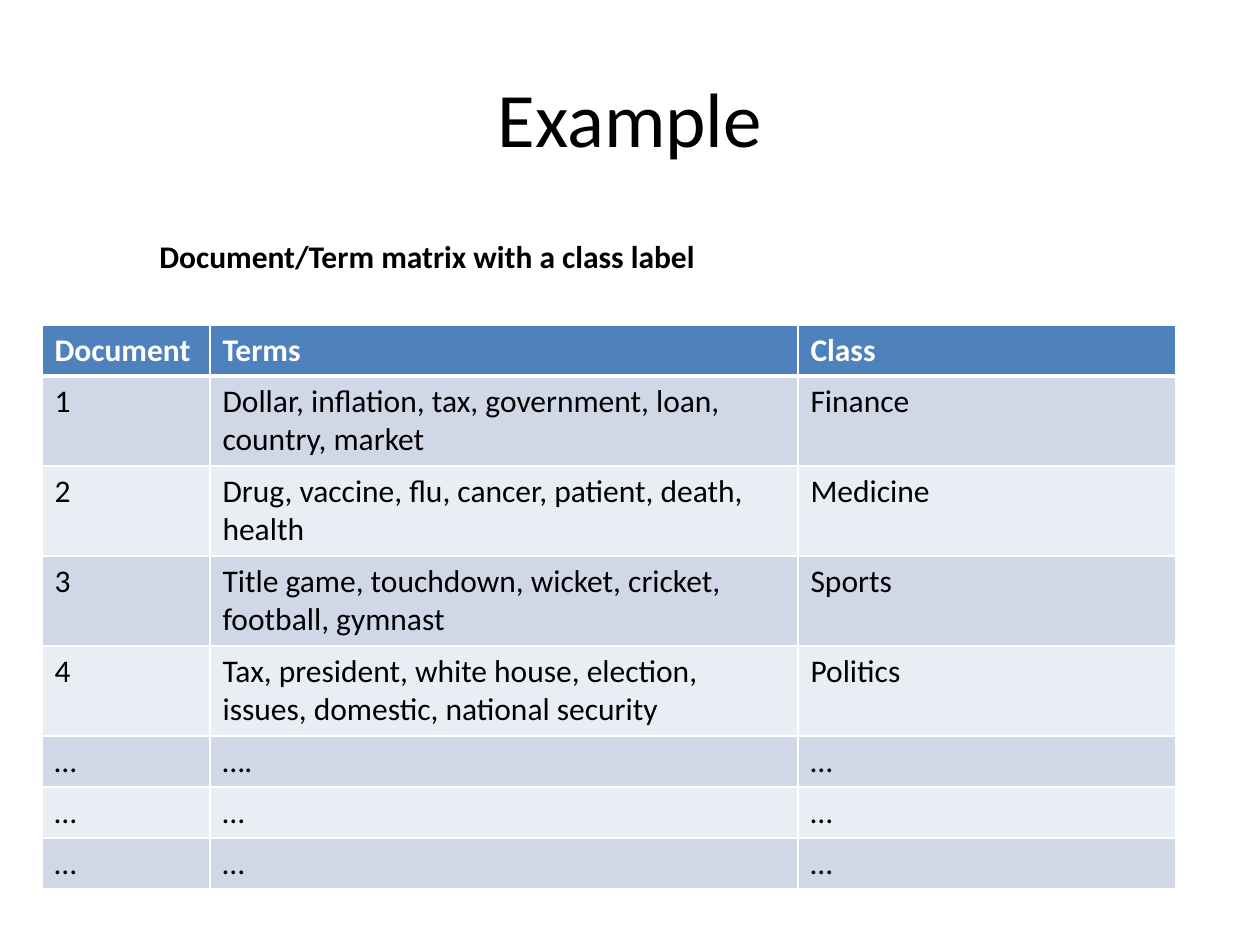
from dataclasses import dataclass

from lxml.etree import SubElement
from pptx import Presentation
from pptx.dml.color import RGBColor
from pptx.enum.text import MSO_ANCHOR, PP_ALIGN
from pptx.oxml.ns import qn
from pptx.util import Emu, Pt


@dataclass(frozen=True)
class Theme:
    font: str = "Calibri"
    ink: str = "000000"
    white: str = "FFFFFF"
    head: str = "4F81BD"
    bands: tuple = ("D0D8E8", "E9EDF4")
    title: int = 44
    body: int = 18
    rule: int = 3


theme = Theme()


def px(n):
    """Turn px, 126 to the inch, into EMU."""
    return Emu(round(n * 914400 / 126))


def write(frame, text, size=theme.body, color=theme.ink, bold=False,
          align=PP_ALIGN.LEFT, anchor=MSO_ANCHOR.TOP):
    frame.word_wrap = True
    frame.vertical_anchor = anchor
    para = frame.paragraphs[0]
    para.alignment = align
    run = para.add_run()
    run.text = text
    run.font.name = theme.font
    run.font.size = Pt(size)
    run.font.bold = bold
    run.font.color.rgb = RGBColor.from_string(color)


deck = Presentation()
deck.slide_width, deck.slide_height = px(1260), px(945)
slide = deck.slides.add_slide(deck.slide_layouts[6])

title = slide.shapes.add_textbox(px(63), px(38), px(1134), px(158))
write(title.text_frame, "Example", size=theme.title,
      align=PP_ALIGN.CENTER, anchor=MSO_ANCHOR.MIDDLE)

rows = [
    ("Document", "Terms", "Class"),
    ("1", "Dollar, inflation, tax, government, loan, country, market", "Finance"),
    ("2", "Drug, vaccine, flu, cancer, patient, death, health", "Medicine"),
    ("3", "Title game, touchdown, wicket, cricket, football, gymnast", "Sports"),
    ("4", "Tax, president, white house, election, issues, domestic, national security",
     "Politics"),
    ("…", "….", "…"),
    ("…", "…", "…"),
    ("…", "…", "…"),
]
widths = [168, 588, 378]
heights = [51] + [90] * 4 + [51] * 3

# The default table style supplies the thin white cell borders.
table = slide.shapes.add_table(len(rows), len(widths), px(42), px(325),
                               px(sum(widths)), px(sum(heights))).table
for col, width in zip(table.columns, widths):
    col.width = px(width)
for r, (row, height) in enumerate(zip(rows, heights)):
    table.rows[r].height = px(height)
    head = r == 0
    fill = theme.head if head else theme.bands[(r - 1) % 2]
    for c, text in enumerate(row):
        cell = table.cell(r, c)
        if head:
            props = cell._tc.get_or_add_tcPr()
            line = SubElement(props, qn("a:lnB"), w=str(Pt(theme.rule)))
            paint = SubElement(line, qn("a:solidFill"))
            SubElement(paint, qn("a:srgbClr"), val=theme.white)
        cell.fill.solid()
        cell.fill.fore_color.rgb = RGBColor.from_string(fill)
        write(cell.text_frame, text, bold=head,
              color=theme.white if head else theme.ink)

label = slide.shapes.add_textbox(px(147), px(231), px(1018), px(51))
write(label.text_frame, "Document/Term matrix with a class label", bold=True)

deck.save("out.pptx")
